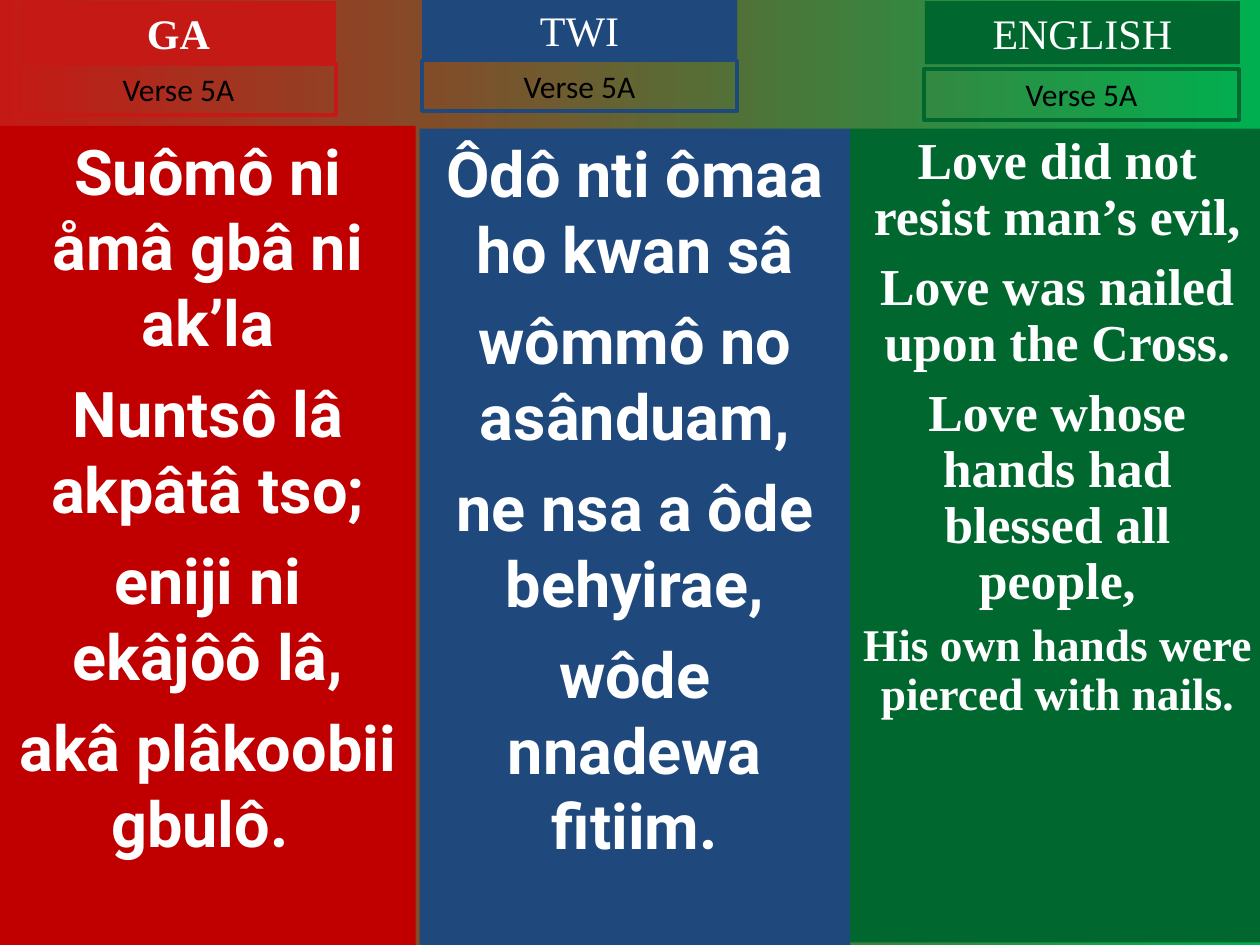
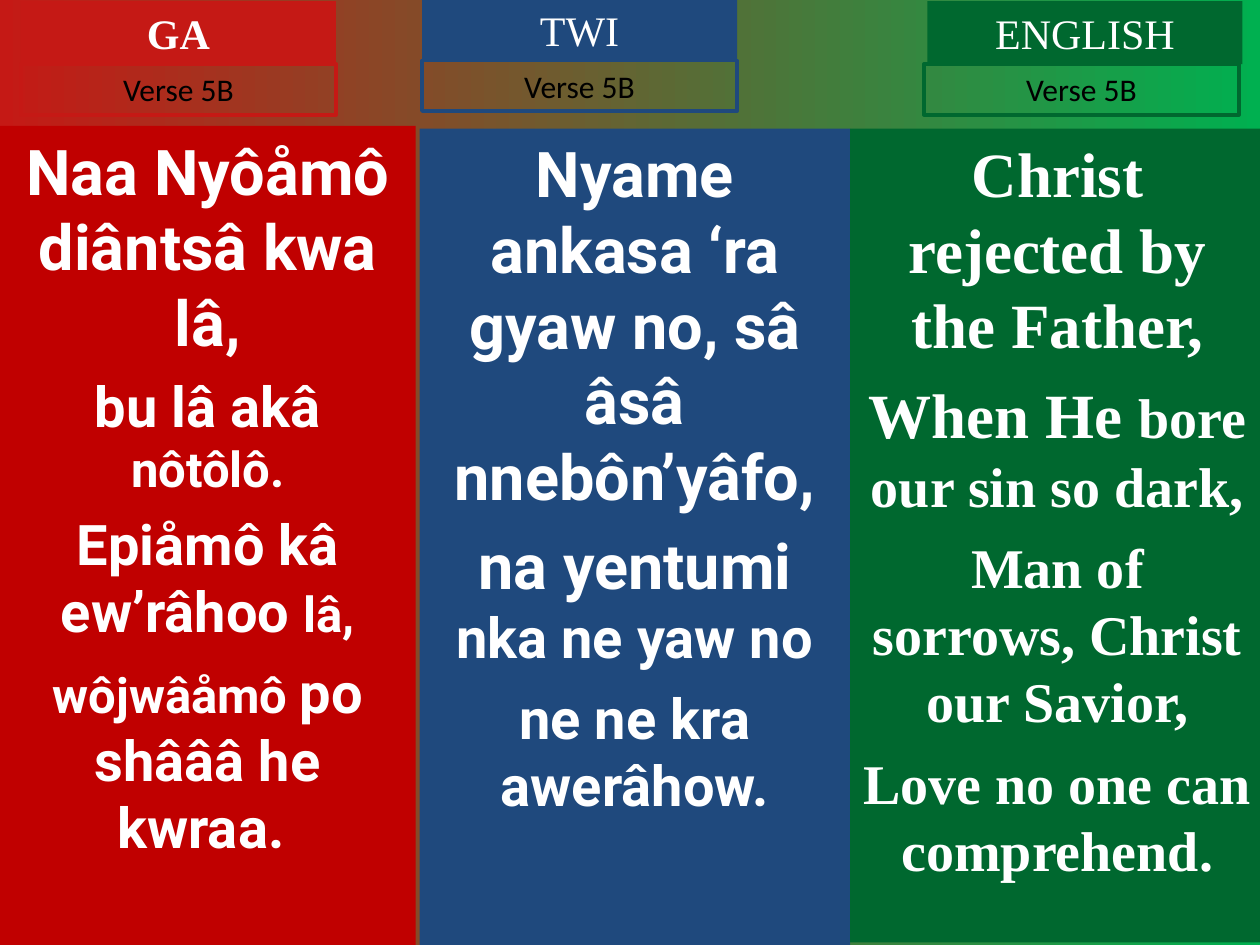
from dataclasses import dataclass

from pptx import Presentation
from pptx.dml.color import RGBColor
from pptx.enum import shapes, text
from pptx.util import Pt


@dataclass(frozen=True)
class Theme:
    ga: str = "C00000"
    red: str = "C51915"
    twi: str = "1F497D"
    eng: str = "00682F"
    lime: str = "00B050"
    white: str = "FFFFFF"
    black: str = "000000"
    sans: str = "Roboto"
    serif: str = "Times New Roman"
    plain: str = "Calibri"
    head: float = 24
    verse: float = 18
    big: float = 36
    mid: float = 32
    low: float = 28
    tight: float = 29.6
    small: float = 25.9
    edge: float = 2.25


T = Theme()


class Deck:
    def __init__(self, theme):
        self.theme = theme
        self.file = Presentation()
        self.file.slide_width, self.file.slide_height = Pt(720), Pt(540)
        self.slide = None

    def page(self):
        self.slide = self.file.slides.add_slide(self.file.slide_layouts[6])
        fill = self.slide.background.fill
        fill.gradient()
        fill.gradient_angle = 0
        for stop, hue in zip(fill.gradient_stops, (self.theme.red, self.theme.lime)):
            stop.color.rgb = RGBColor.from_string(hue)

    def rect(self, box, fill=None, line=None):
        shape = self.slide.shapes.add_shape(
            shapes.MSO_SHAPE.RECTANGLE, *[Pt(n) for n in box])
        shape.shadow.inherit = False
        if fill:
            shape.fill.solid()
            shape.fill.fore_color.rgb = RGBColor.from_string(fill)
        else:
            shape.fill.background()
        if line:
            shape.line.color.rgb = RGBColor.from_string(line)
            shape.line.width = Pt(self.theme.edge)
        else:
            shape.line.fill.background()
        frame = shape.text_frame
        frame.word_wrap = True
        frame.vertical_anchor = text.MSO_ANCHOR.TOP
        return frame

    def put(self, frame, lines, face, hue, bold=False, lead=None):
        for i, (gap, runs) in enumerate(lines):
            para = frame.add_paragraph() if i else frame.paragraphs[0]
            para.alignment = text.PP_ALIGN.CENTER
            para.space_before = Pt(gap if i else 0)
            if lead:
                para.line_spacing = lead
            for words, size in runs:
                run = para.add_run()
                run.text = words
                font = run.font
                font.name, font.size, font.bold = face, Pt(size), bold
                font.color.rgb = RGBColor.from_string(hue)

    def title(self, box, words, hue, bold=False):
        self.put(self.rect(box, fill=hue), [(0, [(words, self.theme.head)])],
                 self.theme.serif, self.theme.white, bold)

    def label(self, box, words, hue):
        self.put(self.rect(box, line=hue), [(0, [(words, self.theme.verse)])],
                 self.theme.plain, self.theme.black)

    def panel(self, box, lines, hue, face, lead=None):
        self.put(self.rect(box, fill=hue), lines, face, self.theme.white, True, lead)


def same(gap, size, *lines):
    return [(gap, [(line, size)]) for line in lines]


WIDE, HIGH, LOW = 180, 36, 28.8

PAGES = [
    dict(
        verse="Verse 5A", head_x=528.5, verse_y=39.6, lead=0.9,
        ga=same(9, T.big, "Suômô ni åmâ gbâ ni ak’la", "Nuntsô lâ akpâtâ tso;",
                "eniji ni ekâjôô lâ,", "akâ plâkoobii gbulô. "),
        twi=same(9, T.big, "Ôdô nti ômaa ho kwan sâ", "wômmô no asânduam,",
                 "ne nsa a ôde behyirae,", "wôde nnadewa fitiim."),
        eng=same(8, T.tight, "Love did not resist man’s evil,",
                 "Love was nailed upon the Cross.",
                 "Love whose hands had blessed all people,")
        + same(7, T.small, "His own hands were pierced with nails."),
    ),
    dict(
        verse="Verse 5B", head_x=530, verse_y=36.7, lead=None,
        ga=same(9, T.big, "Naa Nyôåmô diântsâ kwa lâ,") + [
            (7, [("bu lâ akâ ", T.mid), ("nôtôlô.", T.low)]),
            (7, [("Epiåmô kâ ew’râhoo ", T.mid), ("lâ,", T.low)]),
            (8, [("wôjwâåmô ", T.low), ("po shâââ he kwraa. ", T.mid)]),
        ],
        twi=same(9, T.big, "Nyame ankasa ‘ra gyaw no, sâ âsâ nnebôn’yâfo,") + [
            (8, [("na yentumi ", T.big), ("nka ne yaw no", T.mid)]),
        ] + same(8, T.mid, "ne ne kra awerâhow."),
        eng=same(9, T.big, "Christ rejected by the Father,") + [
            (8, [("When He ", T.big), ("bore our sin so dark,", T.mid)]),
        ] + same(8, T.mid, "Man of sorrows, Christ our Savior,",
                 "Love no one can comprehend."),
    ),
]


def main():
    deck = Deck(T)
    for page in PAGES:
        deck.page()
        deck.panel((0, 72, 237.6, 468), page["ga"], T.ga, T.sans)
        deck.panel((239.8, 73.5, 246, 466.5), page["twi"], T.twi, T.sans)
        deck.panel((485.8, 73.5, 236.9, 465), page["eng"], T.eng, T.serif, page["lead"])
        deck.title((12, 0.7, WIDE, HIGH), "GA", T.red, True)
        deck.title((241.2, -0.7, WIDE, HIGH), "TWI", T.twi)
        deck.title((page["head_x"], 0.7, WIDE, HIGH), "ENGLISH", T.eng)
        deck.label((12, 36.7, WIDE, LOW), page["verse"], T.red)
        deck.label((241.2, 34.6, WIDE, LOW), page["verse"], T.twi)
        deck.label((528, page["verse_y"], WIDE, LOW), page["verse"], T.eng)
    deck.file.save("out.pptx")


if __name__ == "__main__":
    main()
